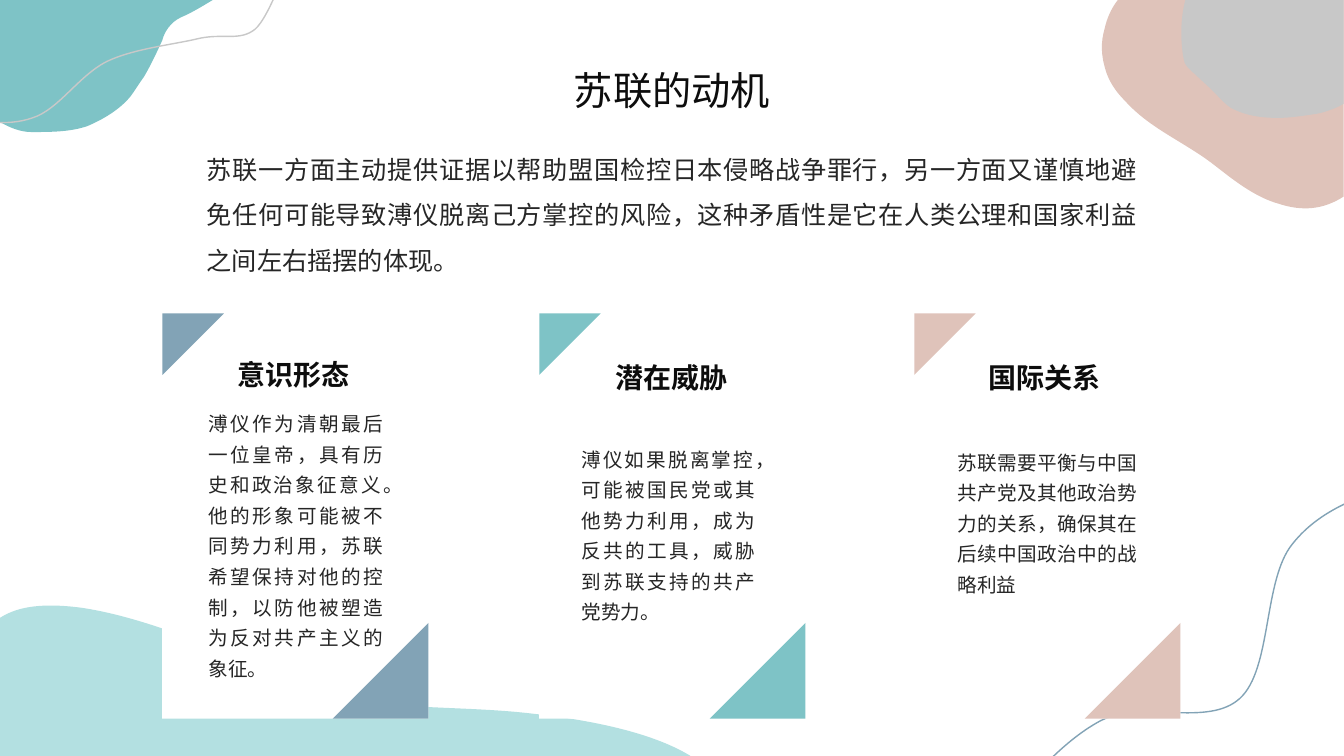
from lxml.etree import SubElement
from pptx import Presentation
from pptx.dml.color import RGBColor
from pptx.enum.lang import MSO_LANGUAGE_ID
from pptx.enum.shapes import MSO_SHAPE
from pptx.enum.text import MSO_ANCHOR, MSO_AUTO_SIZE, PP_ALIGN
from pptx.oxml.ns import qn
from pptx.util import Inches, Pt

CHINESE_FONT = "Noto Sans CJK SC"
BLUE, TEAL, PINK, GRAY, MINT = "82A3B6", "7EC3C6", "DFC3BA", "C8C8C8", "B3E0E1"
WHITE, HEADING, BODY = "FFFFFF", "0D0D0D", "262626"

# Each curve is a start point followed by groups of two handles and an end point.
PINK_CURVE = [
    (11.09, 0), (11.02, 0.09), (10.98, 0.19), (10.96, 0.28),
    (10.92, 0.42), (10.92, 0.54), (10.97, 0.7),
    (11, 0.8), (11.06, 0.9), (11.16, 1),
    (11.34, 1.2), (11.56, 1.32), (11.77, 1.45),
    (11.85, 1.5), (11.93, 1.55), (12.01, 1.61),
    (12.05, 1.64), (12.1, 1.68), (12.14, 1.71),
    (12.32, 1.85), (12.5, 1.97), (12.68, 2.02),
    (12.92, 2.1), (13.13, 2.08), (13.33, 1.95)]
GRAY_CURVE = [
    (13.33, 1.03), (13.25, 1.08), (13.12, 1.12), (13.06, 1.13),
    (12.92, 1.15), (12.8, 1.17), (12.68, 1.17),
    (12.52, 1.17), (12.36, 1.15), (12.21, 1.07),
    (12.15, 1.03), (12.09, 0.96), (12.03, 0.9),
    (11.97, 0.84), (11.92, 0.8), (11.86, 0.74),
    (11.81, 0.7), (11.74, 0.64), (11.74, 0.57),
    (11.71, 0.4), (11.71, 0.18), (11.76, 0)]
TEAL_CURVE = [
    (2.11, 0), (2.06, 0.03), (1.9, 0.13), (1.8, 0.17),
    (1.69, 0.22), (1.63, 0.32), (1.61, 0.4),
    (1.56, 0.51), (1.5, 0.64), (1.43, 0.76),
    (1.4, 0.8), (1.35, 0.88), (1.3, 0.95),
    (1.19, 1.09), (1.01, 1.19), (0.87, 1.25),
    (0.7, 1.31), (0.5, 1.31), (0.31, 1.31),
    (0.21, 1.31), (0.1, 1.27), (0, 1.21)]
MINT_CURVE = [
    (0, 6.13), (0.14, 6.04), (0.36, 5.97), (0.81, 6.03),
    (1.34, 6.11), (1.88, 6.33), (2.41, 6.53),
    (2.68, 6.64), (2.96, 6.75), (3.23, 6.84),
    (3.48, 6.92), (3.75, 6.98), (4, 7),
    (4.42, 7.03), (4.86, 7.03), (5.28, 7.08),
    (5.83, 7.14), (6.46, 7.26), (6.85, 7.5)]
GRAY_WAVE = [
    (-0.5, 1.14), (-0.22, 1.2), (0.06, 1.26), (0.32, 1.17),
    (0.58, 1.09), (0.78, 0.75), (1.06, 0.61),
    (1.33, 0.48), (1.74, 0.44), (1.98, 0.38),
    (2.22, 0.33), (2.38, 0.41), (2.53, 0.29),
    (2.67, 0.17), (2.85, -0.35), (2.89, -0.46)]
BLUE_WAVE = [
    (9.81, 8.23), (10.16, 7.8), (10.51, 7.37), (10.92, 7.15),
    (11.34, 6.94), (11.98, 7.22), (12.3, 6.93),
    (12.62, 6.64), (12.53, 5.76), (12.82, 5.4),
    (13.11, 5.03), (13.57, 4.89), (14.03, 4.76)]

TITLE = "苏联的动机"
INTRO = ("苏联一方面主动提供证据以帮助盟国检控日本侵略战争罪行，另一方面又谨慎地避免任何可能"
         "导致溥仪脱离己方掌控的风险，这种矛盾性是它在人类公理和国家利益之间左右摇摆的体现。")
# Card left, colour, heading, heading offset, text, text box within the card
CARDS = [
    (1.61, BLUE, "意识形态", (0.65, 0.39),
     "溥仪作为清朝最后一位皇帝，具有历史和政治象征意义。他的形象可能被不同势力利用，"
     "苏联希望保持对他的控制，以防他被塑造为反对共产主义的象征。", (0.36, 0.86, 1.93, 2.83)),
    (5.35, TEAL, "潜在威胁", (0.66, 0.42),
     "溥仪如果脱离掌控，可能被国民党或其他势力利用，成为反共的工具，"
     "威胁到苏联支持的共产党势力。", (0.32, 1.21, 1.92, 1.91)),
    (9.07, PINK, "国际关系", (0.64, 0.42),
     "苏联需要平衡与中国共产党及其他政治势力的关系，确保其在后续中国政治中的战略利益",
     (0.33, 1.24, 1.98, 1.6)),
]


def color(value):
    return RGBColor.from_string(value)


def draw_curve(page, curve, corners=()):
    """Draw a chain of cubic curves, closed through the corners if there are any."""
    points = [(Inches(x), Inches(y)) for x, y in [*curve, *corners]]
    builder = page.shapes.build_freeform(*points[0])
    builder.add_line_segments(points[1:], close=bool(corners))
    shape = builder.convert_to_shape()
    shape.shadow.inherit = False
    lines = list(shape._element.iter(qn("a:lnTo")))[:len(curve) - 1]
    for first in range(0, len(lines), 3):
        bend = lines[first].makeelement(qn("a:cubicBezTo"))
        lines[first].addprevious(bend)
        for line in lines[first:first + 3]:
            bend.append(line[0])
            line.getparent().remove(line)
    return shape


def draw_blob(page, curve, corner, fill):
    blob = draw_curve(page, curve, [corner])
    blob.fill.solid()
    blob.fill.fore_color.rgb = color(fill)
    blob.line.fill.background()


def draw_wave(page, curve, stroke):
    wave = draw_curve(page, curve)
    wave.fill.background()
    wave.line.color.rgb = color(stroke)
    wave.line.width = Pt(1)


def draw_shape(page, kind, box, fill, rotation=0):
    shape = page.shapes.add_shape(kind, *map(Inches, box))
    shape.rotation = rotation
    shape.shadow.inherit = False
    shape.fill.solid()
    shape.fill.fore_color.rgb = color(fill)
    shape.line.fill.background()


def write_text(holder, box, text, size, ink, align, spacing=1.0, font="Arial", bold=False):
    """Place a text box or placeholder and fill it with one unbulleted paragraph."""
    holder.left, holder.top, holder.width, holder.height = map(Inches, box)
    frame = holder.text_frame
    frame.word_wrap = True
    frame.auto_size = MSO_AUTO_SIZE.NONE
    frame.vertical_anchor = MSO_ANCHOR.TOP
    para = frame.paragraphs[0]
    para.alignment = align
    para.line_spacing = spacing
    para.space_before = Pt(0)
    properties = para._p.get_or_add_pPr()
    properties.set("marL", "0")
    properties.set("indent", "0")
    SubElement(properties, qn("a:buNone"))
    span = para.add_run()
    span.text = text
    span.font.size = Pt(size)
    span.font.bold = bold
    span.font.name = font
    span.font.color.rgb = color(ink)
    span.font.language_id = MSO_LANGUAGE_ID.SIMPLIFIED_CHINESE
    latin = span._r.rPr.find(qn("a:latin"))
    latin.addnext(latin.makeelement(qn("a:ea"), {"typeface": CHINESE_FONT}))


def draw_background(page):
    draw_blob(page, PINK_CURVE, (13.33, 0), PINK)
    draw_blob(page, GRAY_CURVE, (13.33, 0), GRAY)
    draw_blob(page, TEAL_CURVE, (0, 0), TEAL)
    draw_blob(page, MINT_CURVE, (0, 7.5), MINT)
    draw_wave(page, GRAY_WAVE, GRAY)
    draw_wave(page, BLUE_WAVE, BLUE)


def draw_card(page, box, accent, heading, heading_offset, text, text_box):
    left, top, width, height = box
    small, large = 0.61, 0.95
    draw_shape(page, MSO_SHAPE.RECTANGLE, box, WHITE)
    draw_shape(page, MSO_SHAPE.RIGHT_TRIANGLE, (left, top, small, small), accent, 90)
    draw_shape(page, MSO_SHAPE.RIGHT_TRIANGLE,
               (left + width - large, top + height - large, large, large), accent, 270)
    x, y, text_width, text_height = text_box
    body_box = (left + x, top + y, text_width, text_height)
    heading_box = (left + heading_offset[0], top + heading_offset[1], 1.4, 0.44)
    write_text(page.shapes.add_textbox(0, 0, 0, 0), body_box, text, 14, BODY,
               PP_ALIGN.JUSTIFY, 1.3)
    write_text(page.shapes.add_textbox(0, 0, 0, 0), heading_box, heading, 20, HEADING,
               PP_ALIGN.LEFT, bold=True)


def main():
    deck = Presentation()
    deck.slide_width, deck.slide_height = Inches(40 / 3), Inches(7.5)
    page = deck.slides.add_slide(deck.slide_layouts[1])
    draw_background(page)
    write_text(page.shapes.title, (4.26, 0.61, 4.81, 0.57), TITLE, 28, HEADING,
               PP_ALIGN.CENTER, font=CHINESE_FONT)
    write_text(page.placeholders[1], (1.95, 1.33, 9.43, 1.77), INTRO, 18, BODY,
               PP_ALIGN.JUSTIFY, 1.5)
    for left, *content in CARDS:
        draw_card(page, (left, 3.11, 2.64, 4.02), *content)
    deck.save("out.pptx")


if __name__ == "__main__":
    main()
